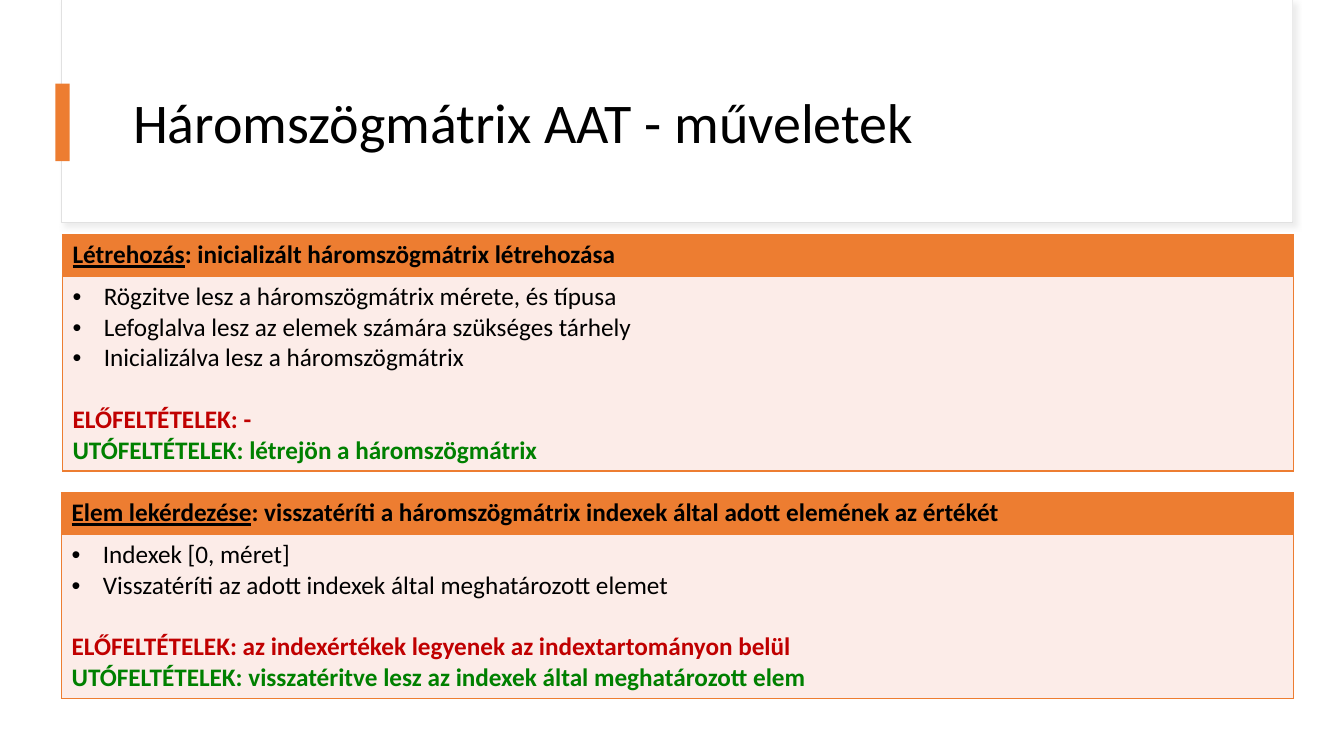
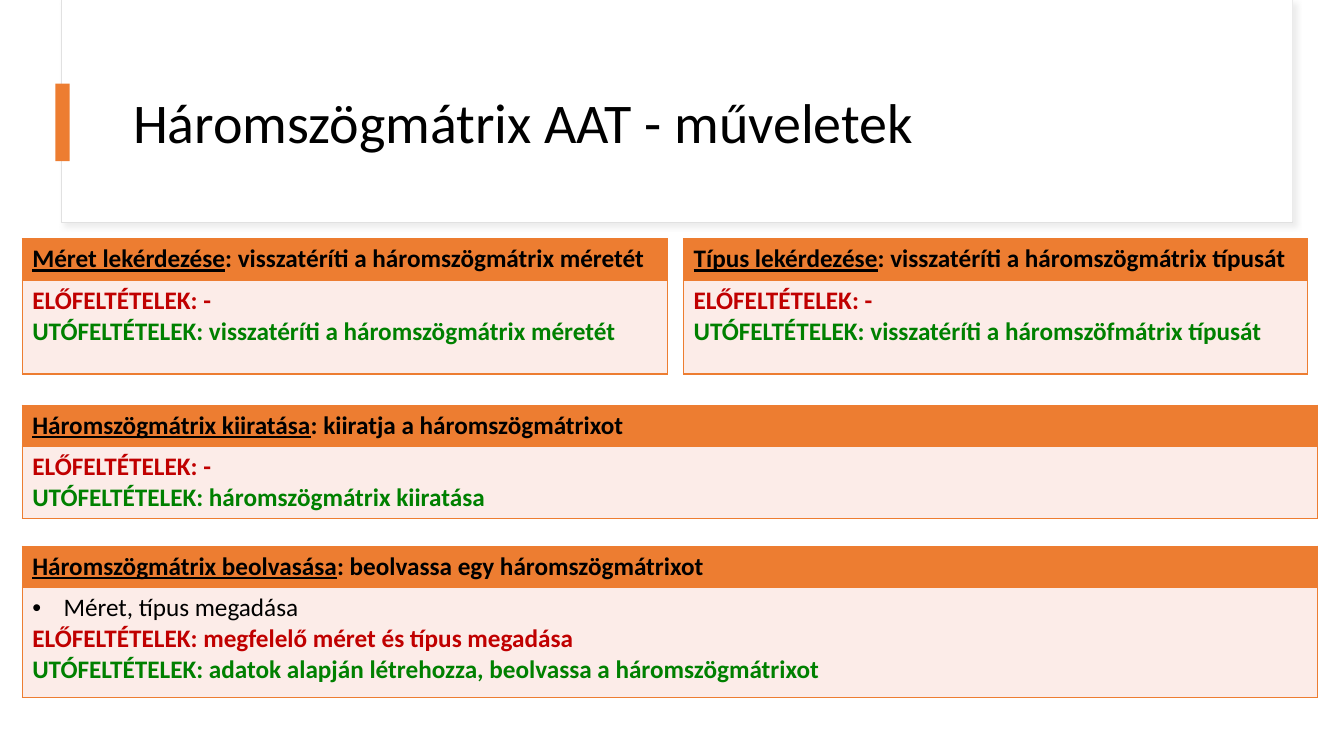
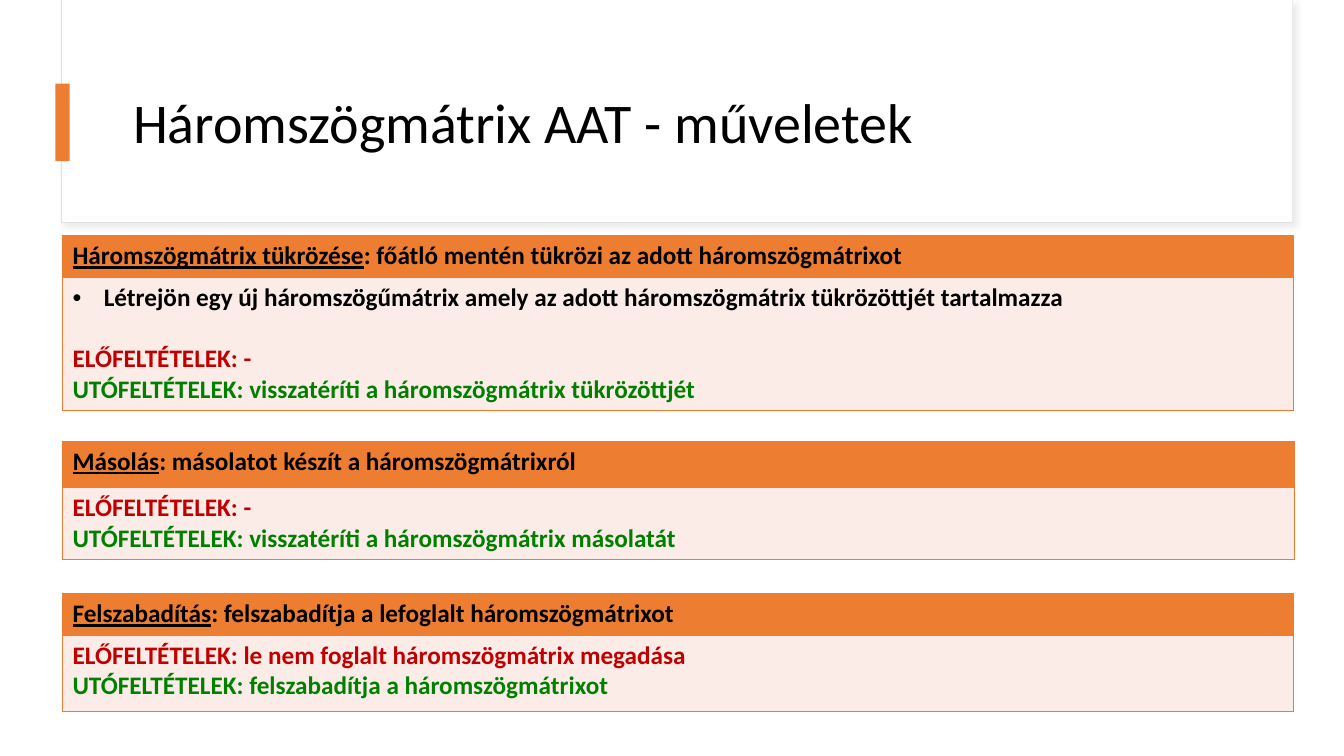
import dataclasses
import pptx
import pptx.dml.color
import pptx.enum.shapes
import pptx.enum.text
import pptx.oxml
import pptx.oxml.ns
import pptx.util

Pt = pptx.util.Pt


@dataclasses.dataclass(frozen=True)
class Theme:
    font: str = "Calibri"
    big: int = 40
    size: int = 18
    blank: int = 22
    ink: str = "000000"
    white: str = "FFFFFF"
    edge: str = "E1E1E1"
    shade: str = "D9D9D9"
    accent: str = "ED7D31"
    pale: str = "FCECE8"
    red: str = "C00000"
    green: str = "008000"


T = Theme()
TITLE = "Háromszögmátrix AAT - műveletek"
WIDE, HIGH = pptx.util.Inches(13.33), pptx.util.Inches(7.5)
HEAD = 5.47          # usual height of a card's head, in percent


def place(box):
    """Turn a box in percent of the slide into lengths."""
    return [round(n * side / 100) for n, side in zip(box, (WIDE, HIGH) * 2)]


def rgb(code):
    return pptx.dml.color.RGBColor.from_string(code)


def xml(text):
    return pptx.oxml.parse_xml(text.replace(" ", " " + pptx.oxml.ns.nsdecls("a") + " ", 1))


def write(para, text, size=T.size, color=T.ink, bold=False, under=False,
          bullet=False, before=0):
    run = para.add_run()
    run.text = text
    font = run.font
    font.name, font.size, font.bold, font.underline = T.font, Pt(size), bold, under
    font.color.rgb = rgb(color)
    if before:
        para.space_before = Pt(before)
    if bullet:
        props = para._p.get_or_add_pPr()
        props.set("marL", str(pptx.util.Inches(0.31)))
        props.set("indent", str(-pptx.util.Inches(0.31)))
        props.append(xml('<a:buFont typeface="Arial"/>'))
        props.append(xml('<a:buChar char="•"/>'))


def block(slide, box, fill, line=None, shadow=False):
    shape = slide.shapes.add_shape(pptx.enum.shapes.MSO_SHAPE.RECTANGLE, *place(box))
    shape.shadow.inherit = False
    shape.fill.solid()
    shape.fill.fore_color.rgb = rgb(fill)
    if line:
        shape.line.color.rgb = rgb(line)
        shape.line.width = Pt(0.75)
    else:
        shape.line.fill.background()
    if shadow:
        glow = shape._element.spPr.find(pptx.oxml.ns.qn("a:effectLst"))
        glow.append(xml(
            f'<a:outerShdw blurRad="{Pt(4)}" dist="{Pt(3)}" dir="2700000" algn="tl">'
            f'<a:srgbClr val="{T.shade}"><a:alpha val="50000"/></a:srgbClr></a:outerShdw>'))


def header(slide):
    # Framed band with its white face and accent tab
    block(slide, (4.58, 0, 91.6, 29.47), T.white, line=T.edge, shadow=True)
    block(slide, (4.65, 0, 91.52, 29.33), T.white)
    title = slide.shapes.title
    title.left, title.top, title.width, title.height = place((9.15, 8, 83.42, 17.2))
    frame = title.text_frame
    frame.word_wrap = True
    frame.auto_size = pptx.enum.text.MSO_AUTO_SIZE.NONE
    frame.vertical_anchor = pptx.enum.text.MSO_ANCHOR.MIDDLE
    para = frame.paragraphs[0]
    para.alignment = pptx.enum.text.PP_ALIGN.LEFT
    para.line_spacing = 0.9
    write(para, TITLE, size=T.big)
    slide.shapes._spTree.append(title._element)  # bring the title to the front
    block(slide, (4.13, 11.07, 1.05, 10.27), T.accent)


def paint(cell, fill):
    props = cell._tc.get_or_add_tcPr()
    for side in "LRTB":
        props.append(xml(f'<a:ln{side} w="{Pt(1)}"><a:solidFill>'
                         f'<a:srgbClr val="{T.accent}"/></a:solidFill></a:ln{side}>'))
    cell.fill.solid()
    cell.fill.fore_color.rgb = rgb(fill)


def card(slide, box, name, text, pre, post, points=(), bold=False, gap=0, head=HEAD):
    table = slide.shapes.add_table(2, 1, *place(box)).table
    table.first_row = table.horz_banding = False
    for row, share in zip(table.rows, (head, box[3] - head)):
        row.height = round(share * HIGH / 100)
    top, body = table.cell(0, 0), table.cell(1, 0)
    paint(top, T.accent)
    paint(body, T.pale)
    # Name of the operation and what it does
    para = top.text_frame.paragraphs[0]
    write(para, name, bold=True, under=True)
    write(para, ": " + text, bold=True)
    # Steps, then the two conditions
    lines = [(point, dict(bullet=True, bold=bold)) for point in points]
    lines += [("ELŐFELTÉTELEK: " + pre, dict(color=T.red, bold=True, before=gap)),
              ("UTÓFELTÉTELEK: " + post, dict(color=T.green, bold=True))]
    frame = body.text_frame
    for i, (line, style) in enumerate(lines):
        write(frame.add_paragraph() if i else frame.paragraphs[0], line, **style)


# Each card: box in percent, name, summary, conditions, options
SLIDES = [
    [((4.65, 31.07, 91.6, 31.2), "Létrehozás", "inicializált háromszögmátrix létrehozása",
      "-", "létrejön a háromszögmátrix",
      dict(points=["Rögzitve lesz a háromszögmátrix mérete, és típusa",
                   "Lefoglalva lesz az elemek számára szükséges tárhely",
                   "Inicializálva lesz a háromszögmátrix"], gap=T.blank)),
     ((4.58, 65.2, 91.67, 27.07), "Elem lekérdezése",
      "visszatéríti a háromszögmátrix indexek által adott elemének az értékét",
      "az indexértékek legyenek az indextartományon belül",
      "visszatéritve lesz az indexek által meghatározott elem",
      dict(points=["Indexek [0, méret]",
                   "Visszatéríti az adott indexek által meghatározott elemet"],
           gap=T.blank))],
    [((1.65, 31.6, 48, 17.87), "Méret lekérdezése",
      "visszatéríti a háromszögmátrix méretét",
      "-", "visszatéríti a háromszögmátrix méretét", {}),
     ((50.86, 31.6, 46.44, 17.87), "Típus lekérdezése",
      "visszatéríti a háromszögmátrix típusát",
      "-", "visszatéríti a háromszöfmátrix típusát", {}),
     ((1.65, 53.6, 96.4, 14.93), "Háromszögmátrix kiiratása",
      "kiiratja a háromszögmátrixot", "-", "háromszögmátrix kiiratása", {}),
     ((1.65, 72.27, 96.4, 20), "Háromszögmátrix beolvasása",
      "beolvassa egy háromszögmátrixot", "megfelelő méret és típus megadása",
      "adatok alapján létrehozza, beolvassa a háromszögmátrixot",
      dict(points=["Méret, típus megadása"]))],
    [((4.65, 31.2, 91.6, 22.93), "Háromszögmátrix tükrözése",
      "főátló mentén tükrözi az adott háromszögmátrixot",
      "-", "visszatéríti a háromszögmátrix tükrözöttjét",
      dict(points=["Létrejön egy új háromszögűmátrix amely az adott "
                   "háromszögmátrix tükrözöttjét tartalmazza"], bold=True, gap=T.blank)),
     ((4.65, 58.4, 91.67, 15.47), "Másolás", "másolatot készít a háromszögmátrixról",
      "-", "visszatéríti a háromszögmátrix másolatát", dict(head=6.13)),
     ((4.65, 78.53, 91.6, 15.6), "Felszabadítás",
      "felszabadítja a lefoglalt háromszögmátrixot",
      "le nem foglalt háromszögmátrix megadása",
      "felszabadítja a háromszögmátrixot", {})],
]


def main():
    deck = pptx.Presentation()
    deck.slide_width, deck.slide_height = WIDE, HIGH
    for cards in SLIDES:
        slide = deck.slides.add_slide(deck.slide_layouts[5])
        header(slide)
        for *parts, extra in cards:
            card(slide, *parts, **extra)
    deck.save("out.pptx")


if __name__ == "__main__":
    main()
